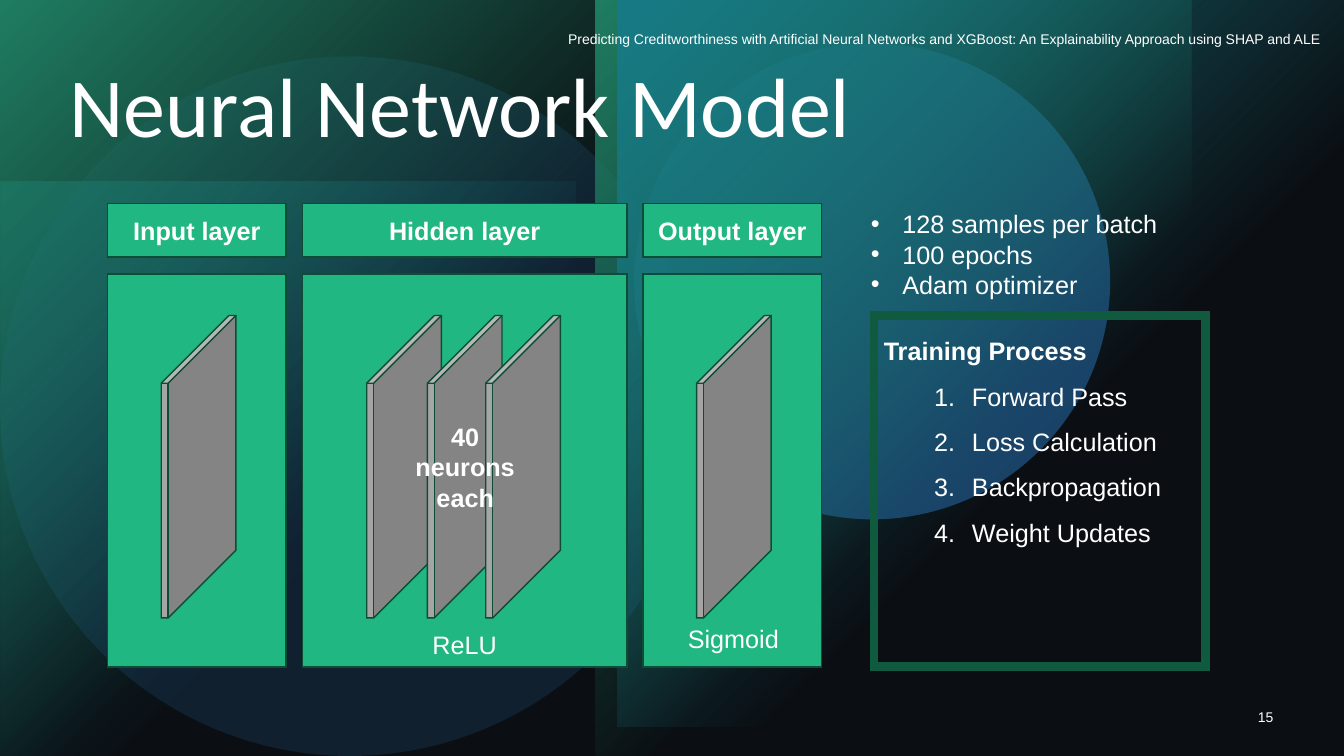
from dataclasses import dataclass
from typing import Any

from lxml.etree import SubElement
from pptx import Presentation
from pptx.dml.color import RGBColor
from pptx.enum.shapes import MSO_SHAPE
from pptx.enum.text import MSO_ANCHOR, MSO_AUTO_SIZE, PP_ALIGN
from pptx.oxml import parse_xml
from pptx.oxml.ns import nsdecls, qn
from pptx.util import Pt

WHITE, GREEN, TEAL, BLUE = "FFFFFF", "21B782", "14B1BC", "298CE7"
GREY, OUTLINE, FRAME = "A5A5A5", "0D4D36", "105B40"
BODY = {"name": "Arial", "size": Pt(18), "bold": False}
BOLD = BODY | {"bold": True}
SMALL = BODY | {"size": Pt(10)}
TITLE = {"name": "Calibri", "size": Pt(60), "bold": False}
LEFT, CENTER, RIGHT = PP_ALIGN.LEFT, PP_ALIGN.CENTER, PP_ALIGN.RIGHT
TOP, MIDDLE = MSO_ANCHOR.TOP, MSO_ANCHOR.MIDDLE


@dataclass(frozen=True)
class Box:
    x: float
    y: float
    w: float
    h: float


@dataclass(frozen=True)
class Backdrop:
    box: Box
    color: str
    kind: MSO_SHAPE = MSO_SHAPE.RECTANGLE
    opacity: int = 100
    glow: bool = False
    flip: bool = False
    turn: int = 0


@dataclass(frozen=True)
class Layer:
    name: str
    width: float
    panes: tuple[float, ...]


@dataclass(frozen=True)
class Label:
    text: str
    box: Box
    font: dict[str, Any]
    align: PP_ALIGN = CENTER
    anchor: MSO_ANCHOR = TOP


BACKDROPS = [
    Backdrop(Box(0, 129.6, 411, 411), TEAL, opacity=60, glow=True, flip=True, turn=180),
    Backdrop(Box(453, 31, 340, 340), BLUE, MSO_SHAPE.OVAL, 60),
    Backdrop(Box(0, 40.3, 499.7, 499.7), BLUE, MSO_SHAPE.OVAL, 20),
    Backdrop(Box(0, 0, 425.5, 540), GREEN, glow=True, flip=True),
    Backdrop(Box(425.5, 0, 425.5, 540), GREEN, glow=True),
    Backdrop(Box(441, 0, 519, 519), TEAL, glow=True, flip=True),
    Backdrop(Box(0, 0, 960, 540), "1C2732", opacity=40),
]
LAYERS = [
    Layer("Input layer", 127.4, (38.2,)),
    Layer("Hidden layer", 231.8, (46, 89.3, 131)),
    Layer("Output layer", 127.4, (38.2,)),
]
LAYERS_X, LAYER_GAP = 77, 11.6
LABELS = [
    Label("15", Box(856.8, 497.5, 59.8, 28.8), SMALL, RIGHT, MIDDLE),
    Label("Predicting Creditworthiness with Artificial Neural Networks and XGBoost: "
          "An Explainability Approach using SHAP and ALE",
          Box(379.4, 13, 570.3, 30), SMALL, RIGHT, MIDDLE),
    Label("40 neurons each", Box(283, 297.4, 98.6, 72.7), BOLD),
    Label("ReLU", Box(237.6, 445.7, 188.6, 29), BODY),
    Label("Sigmoid", Box(471.6, 442, 104.4, 29), BODY),
]
SETTINGS = ["128 samples per batch", "100 epochs", "Adam optimizer"]
STEPS = ["Forward Pass", "Loss Calculation", "Backpropagation", "Weight Updates"]


def rgb(color: str) -> RGBColor:
    return RGBColor.from_string(color)


def apply(target: Any, values: dict[str, Any]) -> None:
    for name, value in values.items():
        setattr(target, name, value)


def place(sp: Any, box: Box) -> None:
    apply(sp, {"left": Pt(box.x), "top": Pt(box.y),
               "width": Pt(box.w), "height": Pt(box.h)})


def add_shape(s: Any, kind: MSO_SHAPE, box: Box, fill: str | None,
              line: str | None = None, weight: float = 1) -> Any:
    sp = s.shapes.add_shape(kind, Pt(box.x), Pt(box.y), Pt(box.w), Pt(box.h))
    sp.shadow.inherit = False
    if fill:
        sp.fill.solid()
        sp.fill.fore_color.rgb = rgb(fill)
    else:
        sp.fill.background()
    if line:
        sp.line.color.rgb = rgb(line)
        sp.line.width = Pt(weight)
        SubElement(sp.line._ln, qn("a:miter"), lim="800000")
    else:
        sp.line.fill.background()
    return sp


def add_backdrop(s: Any, item: Backdrop) -> None:
    sp = add_shape(s, item.kind, item.box, item.color)
    sp.rotation = item.turn
    props = sp._element.spPr
    if item.flip:
        props.find(qn("a:xfrm")).set("flipH", "1")
    solid = props.find(qn("a:solidFill"))
    if item.glow:
        stops = "".join(
            f'<a:gs pos="{pos * 1000}"><a:srgbClr val="{item.color}">'
            f'<a:alpha val="{alpha * 1000}"/></a:srgbClr></a:gs>'
            for pos, alpha in ((0, item.opacity), (60, 0), (100, 0)))
        props.replace(solid, parse_xml(
            f'<a:gradFill {nsdecls("a")} rotWithShape="1"><a:gsLst>{stops}</a:gsLst>'
            '<a:path path="circle"><a:fillToRect r="100000" b="100000"/></a:path>'
            '</a:gradFill>'))
    else:
        SubElement(solid[0], qn("a:alpha"), val=str(item.opacity * 1000))


def set_frame(tf: Any, anchor: MSO_ANCHOR) -> None:
    apply(tf, {"word_wrap": True, "auto_size": MSO_AUTO_SIZE.NONE,
               "vertical_anchor": anchor})


def write(p: Any, text: str, font: dict[str, Any], align: PP_ALIGN = LEFT,
          spacing: float = 1) -> None:
    apply(p, {"alignment": align, "line_spacing": spacing, "space_before": Pt(0)})
    r = p.add_run()
    r.text = text
    apply(r.font, font)
    r.font.color.rgb = rgb(WHITE)


def add_marker(p: Any, margin: float, hang: float, tag: str, **marker: str) -> None:
    """Give the paragraph a hanging indent with a bullet or number."""
    props = p._p.get_or_add_pPr()
    props.set("marL", str(Pt(margin)))
    props.set("indent", str(-Pt(hang)))
    SubElement(SubElement(props, qn("a:buClr")), qn("a:srgbClr"), val=WHITE)
    SubElement(props, qn("a:buFont"), typeface="Arial")
    SubElement(props, qn(tag), **marker)


def add_layers(s: Any) -> None:
    x = LAYERS_X
    for layer in LAYERS:
        head = add_shape(s, MSO_SHAPE.RECTANGLE, Box(x, 145.4, layer.width, 38.2),
                         GREEN, OUTLINE)
        set_frame(head.text_frame, MIDDLE)
        write(head.text_frame.paragraphs[0], layer.name, BOLD, CENTER)
        add_shape(s, MSO_SHAPE.RECTANGLE, Box(x, 195.8, layer.width, 280.8),
                  GREEN, OUTLINE)
        for offset in layer.panes:
            pane = add_shape(s, MSO_SHAPE.CUBE, Box(x + offset, 225.4, 53.3, 216),
                             GREY, OUTLINE)
            pane.adjustments[0] = 0.907
        x += layer.width + LAYER_GAP


def add_label(s: Any, label: Label) -> None:
    b = label.box
    tf = s.shapes.add_textbox(Pt(b.x), Pt(b.y), Pt(b.w), Pt(b.h)).text_frame
    set_frame(tf, label.anchor)
    write(tf.paragraphs[0], label.text, label.font, label.align)


def fill_placeholder(s: Any, sp: Any, box: Box) -> Any:
    """Move the placeholder above the backdrop and return its text frame."""
    place(sp, box)
    s.shapes._spTree.append(sp._element)
    set_frame(sp.text_frame, TOP)
    return sp.text_frame


def add_training(s: Any) -> None:
    sp = add_shape(s, MSO_SHAPE.RECTANGLE, Box(624.2, 225.4, 236.9, 250.6),
                   None, FRAME, 6)
    tf = sp.text_frame
    set_frame(tf, TOP)
    write(tf.paragraphs[0], "Training Process", BOLD, spacing=1.5)
    for step in STEPS:
        p = tf.add_paragraph()
        p.level = 1
        add_marker(p, 63, 27, "a:buAutoNum", type="arabicPeriod")
        write(p, step, BODY, spacing=1.5)


def main() -> None:
    prs = Presentation()
    apply(prs, {"slide_width": Pt(960), "slide_height": Pt(540)})
    s = prs.slides.add_slide(prs.slide_layouts[1])
    s.background.fill.solid()
    s.background.fill.fore_color.rgb = rgb("000000")
    for item in BACKDROPS:
        add_backdrop(s, item)
    tf = fill_placeholder(s, s.shapes.title, Box(42.5, 42.5, 874, 142.6))
    write(tf.paragraphs[0], "Neural Network Model", TITLE, spacing=0.9)
    add_layers(s)
    tf = fill_placeholder(s, s.placeholders[1], Box(614.9, 145.4, 258.5, 72.7))
    for i, setting in enumerate(SETTINGS):
        p = tf.add_paragraph() if i else tf.paragraphs[0]
        add_marker(p, 22.5, 22.5, "a:buChar", char="•")
        write(p, setting, BODY)
    add_training(s)
    for label in LABELS:
        add_label(s, label)
    prs.save("out.pptx")


if __name__ == "__main__":
    main()
